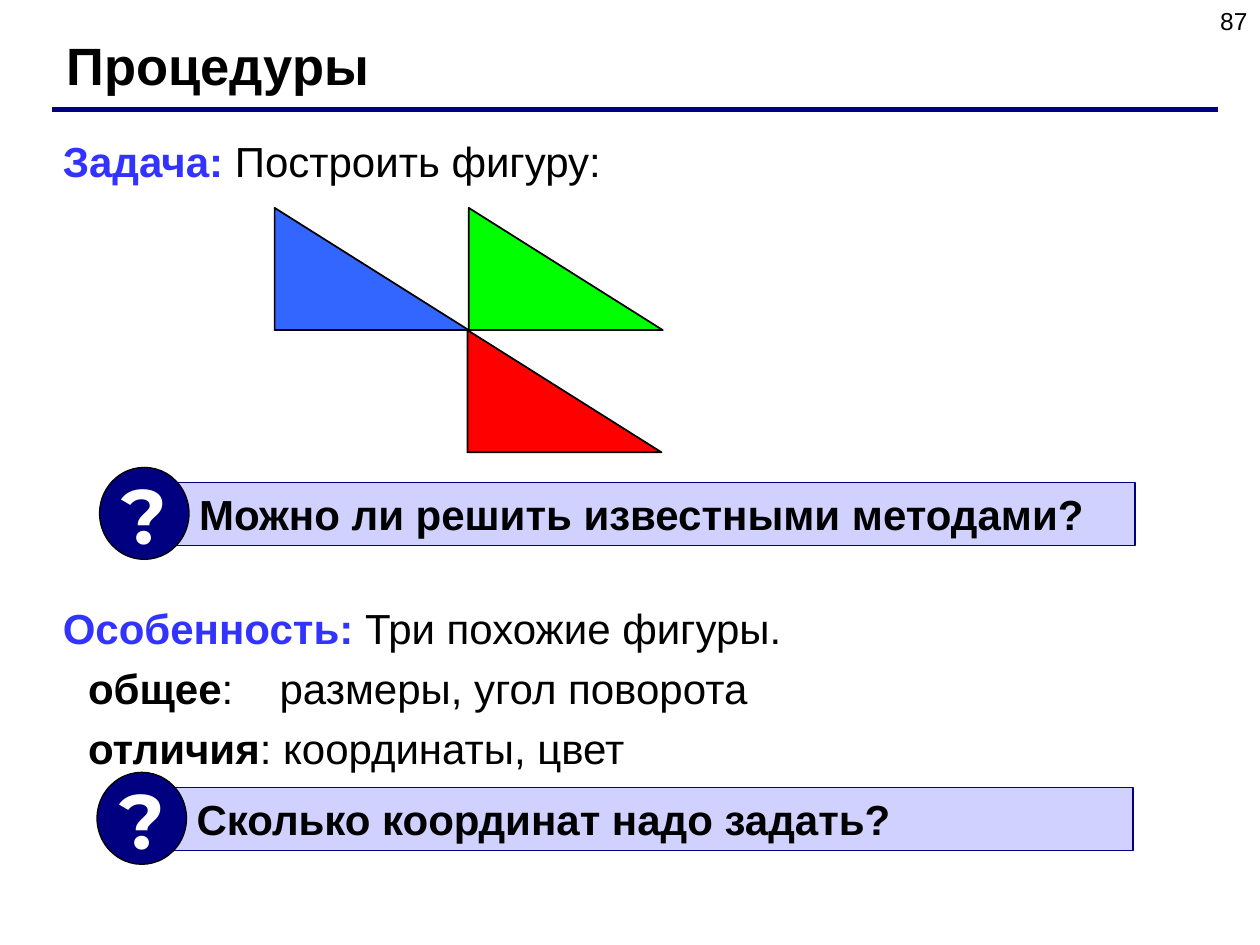
import pptx
import pptx.dml.color
import pptx.enum.shapes
import pptx.enum.text
import pptx.util
from pptx.oxml.ns import qn

Inches = pptx.util.Inches
Pt = pptx.util.Pt
MSO_SHAPE = pptx.enum.shapes.MSO_SHAPE
PP_ALIGN = pptx.enum.text.PP_ALIGN
MSO_ANCHOR = pptx.enum.text.MSO_ANCHOR

COLORS = {
    "black": "000000", "white": "FFFFFF", "navy": "000080", "label": "3333FF",
    "panel": "D1D1FF", "blue": "3366FF", "green": "00FF00", "red": "FF0000",
}


def rgb(name):
    return pptx.dml.color.RGBColor.from_string(COLORS[name])


def add_run(p, text, size=24, color="black", bold=False, font="Arial"):
    r = p.add_run()
    r.text = text
    r.font.name = font
    r.font.size = Pt(size)
    r.font.bold = bold
    r.font.color.rgb = rgb(color)


def setup_frame(tf, wrap=True, anchor=MSO_ANCHOR.TOP):
    tf.word_wrap = wrap
    tf.vertical_anchor = anchor
    tf.auto_size = pptx.enum.text.MSO_AUTO_SIZE.NONE
    return tf.paragraphs[0]


def add_shape(shapes, kind, x, y, w, h, fill, line="black", width=1):
    sp = shapes.add_shape(kind, Inches(x), Inches(y), Inches(w), Inches(h))
    sp.shadow.inherit = False
    sp.fill.solid()
    sp.fill.fore_color.rgb = rgb(fill)
    sp.line.color.rgb = rgb(line)
    sp.line.width = Pt(width)
    return sp


def add_title(s, text):
    sp = s.shapes.title
    sp.left, sp.top, sp.width, sp.height = map(Inches, (0.43, 0.21, 8.9, 0.6))
    p = setup_frame(sp.text_frame)
    p.alignment = PP_ALIGN.LEFT
    add_run(p, text, 30, bold=True)


def add_rule(s):
    line = s.shapes.add_connector(
        pptx.enum.shapes.MSO_CONNECTOR.STRAIGHT,
        Inches(0.41), Inches(0.87), Inches(9.67), Inches(0.87))
    line.line.color.rgb = rgb("navy")
    line.line.width = Pt(3)
    sp_pr = line._element.spPr
    sp_pr.append(sp_pr.makeelement(qn("a:effectLst"), {}))


def add_page_number(s, number):
    sp = s.shapes.add_textbox(Inches(7.67), 0, Inches(2.33), Inches(0.52))
    p = setup_frame(sp.text_frame)
    p.alignment = PP_ALIGN.RIGHT
    add_run(p, number, 14)


def add_body(s):
    sp = s.shapes.add_textbox(Inches(0.4), Inches(1.03), Inches(9.21), Inches(5.12))
    tf = sp.text_frame
    p = setup_frame(tf)
    # label, text, label colour, space before, hanging indent
    rows = [
        ("Задача: ", "Построить фигуру:", "label", 0, False),
        ("Особенность: ", "Три похожие фигуры.", "label", 238, False),
        ("общее", ":\tразмеры, угол поворота", "black", 5.5, True),
        ("отличия", ": координаты, цвет", "black", 5.5, True),
    ]
    for i, (label, text, color, before, hanging) in enumerate(rows):
        if i:
            p = tf.add_paragraph()
            p.space_before = Pt(before)
        if hanging:
            p_pr = p._p.get_or_add_pPr()
            p_pr.set("marL", str(Inches(1.72)))
            p_pr.set("indent", str(Inches(-1.52)))
        add_run(p, label, color=color, bold=True)
        add_run(p, text)


def add_triangles(s):
    group = s.shapes.add_group_shape()
    w, h = 1.54, 0.97
    for x, y, color in [(2.18, 1.65, "blue"), (2.18 + w, 1.65, "green"),
                        (3.71, 1.65 + h, "red")]:
        add_shape(group.shapes, MSO_SHAPE.RIGHT_TRIANGLE, x, y, w, h, color)


def add_question(s, x, y, text):
    group = s.shapes.add_group_shape()
    panel = add_shape(group.shapes, MSO_SHAPE.RECTANGLE,
                      x + 0.51, y + 0.12, 7.71, 0.5, "panel", "navy")
    p = setup_frame(panel.text_frame)
    panel.text_frame.margin_left = Inches(0.28)
    p.alignment = PP_ALIGN.LEFT
    add_run(p, text, bold=True)

    badge = add_shape(group.shapes, MSO_SHAPE.OVAL, x, y, 0.71, 0.73, "navy", width=0.75)
    p = setup_frame(badge.text_frame, wrap=False, anchor=MSO_ANCHOR.MIDDLE)
    p.alignment = PP_ALIGN.CENTER
    add_run(p, "?", 44, "white", True, "Montserrat")


def main():
    prs = pptx.Presentation()
    prs.slide_width, prs.slide_height = Inches(10), Inches(7.5)
    s = prs.slides.add_slide(prs.slide_layouts[5])

    # Heading
    add_page_number(s, "87")
    add_rule(s)
    add_title(s, "Процедуры")

    # Task, figure and questions
    add_body(s)
    add_question(s, 0.79, 3.71, "Можно ли решить известными методами?")
    add_triangles(s)
    add_question(s, 0.77, 6.13, "Сколько координат надо задать?")

    prs.save("out.pptx")


if __name__ == "__main__":
    main()
